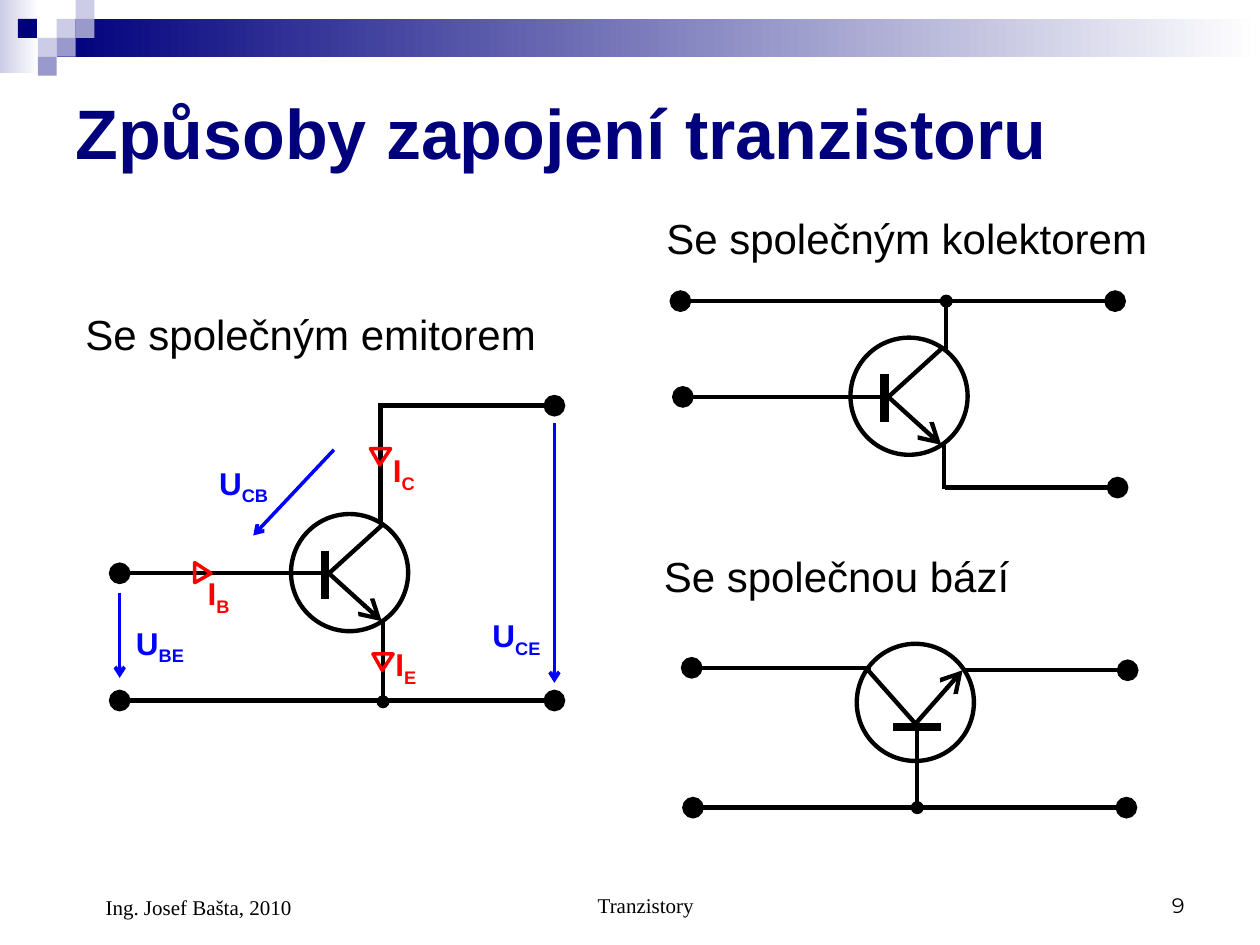
"""Build a slide with the three basic transistor circuits."""
from lxml import etree
from pptx import Presentation
from pptx.dml.color import RGBColor
from pptx.enum import shapes as es, text as et
from pptx.oxml.ns import qn
from pptx.util import Inches, Pt

NAVY = RGBColor(0x00, 0x00, 0x7D)
PALE = RGBColor(0xCC, 0xCC, 0xE6)
LILAC = RGBColor(0x99, 0x99, 0xCC)
WHITE = RGBColor(0xFF, 0xFF, 0xFF)
BLACK = RGBColor(0x00, 0x00, 0x00)
RED = RGBColor(0xFF, 0x00, 0x00)
BLUE = RGBColor(0x00, 0x00, 0xFF)
LEFT, MID, RIGHT = et.PP_ALIGN.LEFT, et.PP_ALIGN.CENTER, et.PP_ALIGN.RIGHT
TOP, LOW = et.MSO_ANCHOR.TOP, et.MSO_ANCHOR.BOTTOM
NODE, DOT = ("oval", "lg"), ("oval", "med")
BIG, SMALL = ("arrow", "lg"), ("arrow", "med")

deck = Presentation()
deck.slide_width, deck.slide_height = Inches(10), Inches(7.5)
slide = deck.slides.add_slide(deck.slide_layouts[6])
items = slide.shapes


def wire(x1, y1, x2, y2, head=None, tail=None, color=BLACK, width=2.5):
    """Draw a line with optional end marks."""
    line = items.add_connector(es.MSO_CONNECTOR.STRAIGHT, Inches(x1), Inches(y1),
                               Inches(x2), Inches(y2))
    line.line.color.rgb = color
    line.line.width = Pt(width)
    node = line.line._get_or_add_ln()
    for tag, mark in (("a:headEnd", head), ("a:tailEnd", tail)):
        if mark:
            etree.SubElement(node, qn(tag), type=mark[0], w=mark[1], len=mark[1])
    etree.SubElement(line._element.spPr, qn("a:effectLst"))


def label(words, x, y, w, h, size, color=BLACK, bold=False, font="Arial",
          align=LEFT, anchor=TOP, sub=""):
    """Write one paragraph with an optional subscript."""
    frame = items.add_textbox(Inches(x), Inches(y), Inches(w), Inches(h)).text_frame
    frame.word_wrap = True
    frame.vertical_anchor = anchor
    para = frame.paragraphs[0]
    para.alignment = align
    para.font.size, para.font.name, para.font.bold = Pt(size), font, bold
    para.font.color.rgb = color
    para.add_run().text = words
    if sub:
        run = para.add_run()
        run.text = sub
        run.font._element.set("baseline", "-25000")
    return para


for x, y, w, h, hue in ((0, 0, 0.31, 0.58, PALE), (0.45, 0.15, 9.55, 0.3, NAVY)):
    bar = items.add_shape(es.MSO_SHAPE.RECTANGLE, Inches(x), Inches(y), Inches(w), Inches(h))
    bar.shadow.inherit = False
    bar.line.fill.background()
    bar.fill.gradient()
    bar.fill.gradient_angle = 0
    for stop, tone in zip(bar.fill.gradient_stops, (hue, WHITE)):
        stop.color.rgb = tone

for col, row, hue in ((3, 1, PALE), (4, 0, PALE), (4, 1, LILAC), (2, 2, PALE),
                      (0.95, 1, NAVY), (3, 2, LILAC), (2, 3, LILAC)):
    tile = items.add_shape(es.MSO_SHAPE.RECTANGLE, Inches(col * 0.15), Inches(row * 0.15),
                           Inches(0.15), Inches(0.15))
    tile.shadow.inherit = False
    tile.fill.solid()
    tile.fill.fore_color.rgb = hue
    tile.line.fill.background()

label("Způsoby zapojení tranzistoru", 0.5, 0.5, 9, 1.08, 40, NAVY, True,
      anchor=et.MSO_ANCHOR.MIDDLE)

for x, y in ((2.31, 4.08), (6.75, 2.68), (6.8, 5.11)):
    ring = items.add_shape(es.MSO_SHAPE.OVAL, Inches(x), Inches(y), Inches(0.93), Inches(0.93))
    ring.shadow.inherit = False
    ring.fill.background()
    ring.line.color.rgb = BLACK
    ring.line.width = Pt(2.5)

for x, y in ((2.31, 4.08), (6.75, 2.68)):
    wire(x + 0.27, y + 0.29, x + 0.27, y + 0.67, width=5)
    wire(x + 0.29, y + 0.48, x + 0.72, y + 0.09)
    wire(x + 0.3, y + 0.47, x + 0.72, y + 0.85, tail=BIG)

wire(7.09, 5.77, 7.47, 5.77, width=5)
wire(7.28, 5.76, 6.89, 5.32)
wire(7.27, 5.74, 7.64, 5.32, tail=BIG)

for ends in (
    (0.95, 5.56, 4.4, 5.56, NODE, NODE),
    (3.03, 3.22, 4.4, 3.22, None, NODE),
    (0.95, 4.55, 2.56, 4.55, NODE),
    (3.04, 5.57, 3.04, 4.93, DOT),
    (3.02, 4.15, 3.02, 3.2),
    (5.5, 6.41, 8.94, 6.41, NODE, NODE),
    (7.65, 5.32, 8.95, 5.32, None, NODE),
    (5.49, 5.3, 6.91, 5.3, NODE),
    (7.28, 6.41, 7.28, 5.77, DOT),
    (5.4, 2.39, 8.85, 2.39, NODE, NODE),
    (7.5, 3.87, 8.87, 3.87, None, NODE),
    (5.42, 3.15, 7.03, 3.15, NODE),
    (7.51, 2.39, 7.51, 2.77, DOT),
    (7.49, 3.53, 7.49, 3.88),
):
    wire(*ends)

for ends in ((0.95, 4.71, 0.95, 5.38), (4.4, 3.36, 4.4, 5.42), (2.65, 3.57, 2.01, 4.25)):
    wire(*ends, tail=SMALL, color=BLUE, width=2)

for x, y, turn in ((1.53, 4.48, 90), (2.96, 5.19, 180), (2.94, 3.56, 180)):
    mark = items.add_shape(es.MSO_SHAPE.ISOSCELES_TRIANGLE, Inches(x), Inches(y),
                           Inches(0.16), Inches(0.13))
    mark.shadow.inherit = False
    mark.adjustments[0] = 0.54
    mark.rotation = turn
    mark.fill.background()
    mark.line.color.rgb = RED
    mark.line.width = Pt(2)

for sub, x, y in (("C", 3.02, 3.53), ("E", 3.04, 5.07), ("B", 1.55, 4.51)):
    label("I", x, y, 0.42, 0.44, 18, RED, True, sub=sub)
for sub, x, y in (("CB", 1.64, 3.63), ("CE", 3.81, 4.84), ("BE", 0.98, 4.9)):
    label("U", x, y, 0.68, 0.44, 18, BLUE, True, sub=sub)

for words, x, y in (("Se společným emitorem", 0.58, 2.4),
                    ("Se společnou bází", 5.17, 4.32),
                    ("Se společným kolektorem", 5.19, 1.64)):
    label(words, x, y, 4.1, 0.5, 24)

for words, x, w, h, font, align, inset in (
    ("Tranzistory", 3.42, 3.17, 0.5, "Times New Roman", MID, 0.24),
    ("9", 7.17, 2.33, 0.5, "Montserrat", RIGHT, 0),
    ("Ing. Josef Bašta, 2010", 0.5, 2.33, 0.52, "Times New Roman", LEFT, 0.24),
):
    para = label(words, x, 6.83, w, h, 12, font=font, align=align, anchor=LOW)
    para._p.get_or_add_pPr().set("marL", str(Inches(inset)))

deck.save("out.pptx")
